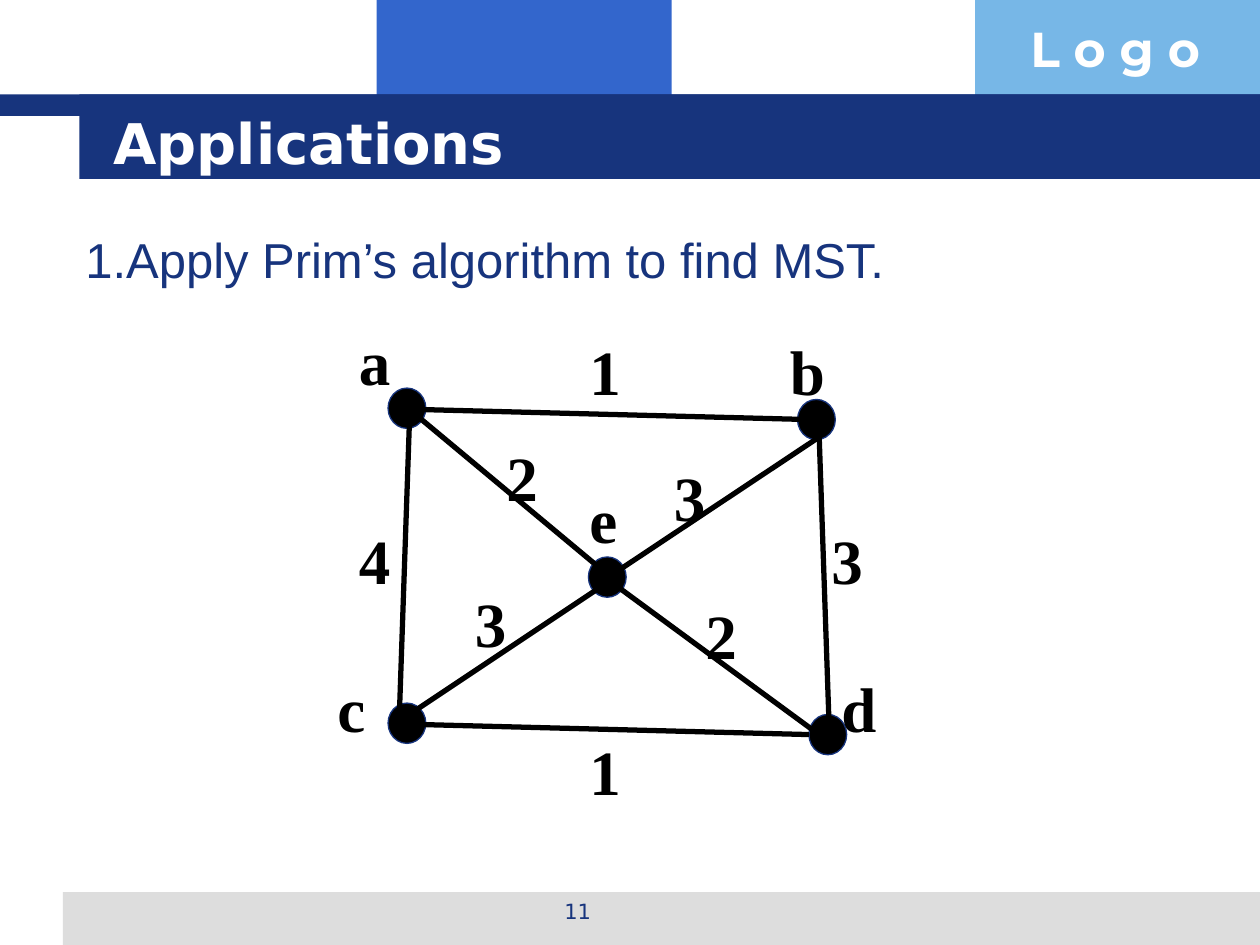
from dataclasses import dataclass

from lxml import etree
from pptx import Presentation
from pptx.dml.color import RGBColor
from pptx.enum.shapes import MSO_CONNECTOR, MSO_SHAPE
from pptx.enum.text import MSO_ANCHOR, PP_ALIGN
from pptx.oxml.ns import qn
from pptx.util import Inches, Pt

RECT, OVAL = MSO_SHAPE.RECTANGLE, MSO_SHAPE.OVAL
STRAIGHT = MSO_CONNECTOR.STRAIGHT
TOP, MIDDLE, BOTTOM = MSO_ANCHOR.TOP, MSO_ANCHOR.MIDDLE, MSO_ANCHOR.BOTTOM
LEFT, CENTER = PP_ALIGN.LEFT, PP_ALIGN.CENTER


@dataclass(frozen=True)
class Theme:
    navy: str = "17347D"
    blue: str = "3366CC"
    sky: str = "77B7E7"
    grey: str = "DDDDDD"
    black: str = "000000"
    white: str = "FFFFFF"
    title_size: int = 32
    body_size: int = 28
    label_size: int = 36
    number_size: int = 12


theme = Theme()


def write(sp, text, box, size, color, font, bold=False, align=LEFT, anchor=TOP):
    """Place a text shape and fill it with one formatted paragraph."""
    sp.left, sp.top, sp.width, sp.height = (Inches(v) for v in box)
    tf = sp.text_frame
    tf.word_wrap = True
    tf.vertical_anchor = anchor
    tf.margin_left = tf.margin_right = Inches(0.1)
    tf.margin_top = tf.margin_bottom = Inches(0.05)
    p = tf.paragraphs[0]
    p.alignment = align
    p.space_before = Pt(0)
    r = p.add_run()
    r.text = text
    r.font.size = Pt(size)
    r.font.name = font
    r.font.bold = bold
    r.font.color.rgb = RGBColor.from_string(color)


def add_filled(shapes, kind, box, fill, line=None):
    sp = shapes.add_shape(kind, *(Inches(v) for v in box))
    sp.shadow.inherit = False
    sp.fill.solid()
    sp.fill.fore_color.rgb = RGBColor.from_string(fill)
    if line:
        sp.line.color.rgb = RGBColor.from_string(line)
        sp.line.width = Pt(0.75)
    else:
        sp.line.fill.background()


prs = Presentation()
prs.slide_width, prs.slide_height = Inches(10), Inches(7.5)
s = prs.slides.add_slide(prs.slide_layouts[5])
title = s.shapes.title

# Header and footer bands
for box, fill in [
    ((2.99, 0, 2.34, 0.92), theme.blue),
    ((7.74, 0, 2.26, 0.92), theme.sky),
    ((0.5, 7.08, 9.5, 0.42), theme.grey),
    ((0, 0.75, 10, 0.17), theme.navy),
    ((0.63, 0.75, 9.37, 0.67), theme.navy),
]:
    add_filled(s.shapes, RECT, box, fill)

# Title, moved in front of the bands
s.shapes._spTree.append(title._element)
write(title, "Applications", (0.8, 0.82, 8.53, 0.62), theme.title_size,
      theme.white, "DejaVu Sans", bold=True, anchor=MIDDLE)

# Header mark, task and slide number
for text, box, size, color, font, bold, align, anchor in [
    ("L o g o", (8.08, 0.1, 1.93, 0.57), theme.body_size, theme.white,
     "Montserrat", True, LEFT, TOP),
    ("1.Apply Prim’s algorithm to find MST.", (0.58, 1.77, 7.17, 0.57),
     theme.body_size, theme.navy, "Arial", False, LEFT, BOTTOM),
    ("11", (3.42, 7.08, 2.33, 0.35), theme.number_size, theme.navy,
     "DejaVu Sans", False, CENTER, TOP),
]:
    write(s.shapes.add_textbox(0, 0, 0, 0), text, box, size, color, font,
          bold=bold, align=align, anchor=anchor)

graph = s.shapes.add_group_shape().shapes

# Graph nodes: a, b, c, e, d
for x, y in [(3.08, 3.08), (6.33, 3.17), (3.08, 5.58), (4.67, 4.42), (6.42, 5.67)]:
    add_filled(graph, OVAL, (x, y, 0.3, 0.32), theme.black, line=theme.navy)

# Graph edges
for ends in [
    (3.33, 3.25, 6.42, 3.33),  # a-b
    (3.25, 3.25, 4.75, 4.5),   # a-e
    (4.83, 4.58, 6.5, 3.47),   # e-b
    (3.25, 3.33, 3.17, 5.67),  # a-c
    (3.33, 5.75, 6.42, 5.83),  # c-d
    (6.5, 3.42, 6.58, 5.75),   # b-d
    (3.25, 5.67, 4.75, 4.67),  # c-e
    (4.92, 4.67, 6.5, 5.83),   # e-d
]:
    edge = graph.add_connector(STRAIGHT, *(Inches(v) for v in ends))
    edge.line.color.rgb = RGBColor.from_string(theme.black)
    edge.line.width = Pt(3)
    etree.SubElement(edge._element.spPr, qn("a:effectLst"))

# Node names and edge weights
for text, x, y in [
    ("a", 2.75, 2.5), ("b", 6.17, 2.58), ("c", 2.58, 5.25),
    ("d", 6.58, 5.25), ("e", 4.58, 3.75),
    ("1", 4.58, 2.58), ("1", 4.58, 5.75), ("2", 3.92, 3.42),
    ("2", 5.5, 4.67), ("3", 6.5, 4.08), ("3", 5.25, 3.58),
    ("3", 3.67, 4.58), ("4", 2.75, 4.08),
]:
    write(graph.add_textbox(0, 0, 0, 0), text, (x, y, 0.54, 0.71),
          theme.label_size, theme.black, "Times New Roman", bold=True, anchor=BOTTOM)

prs.save("out.pptx")
